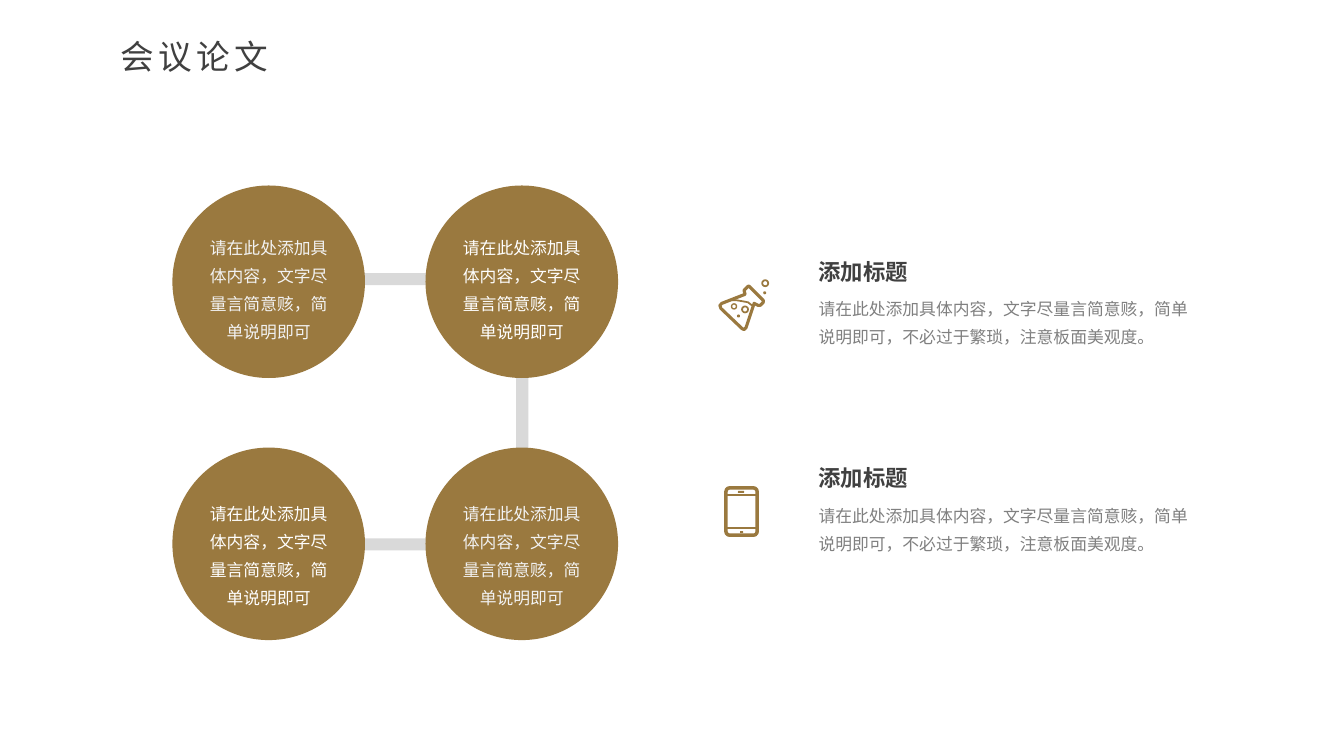
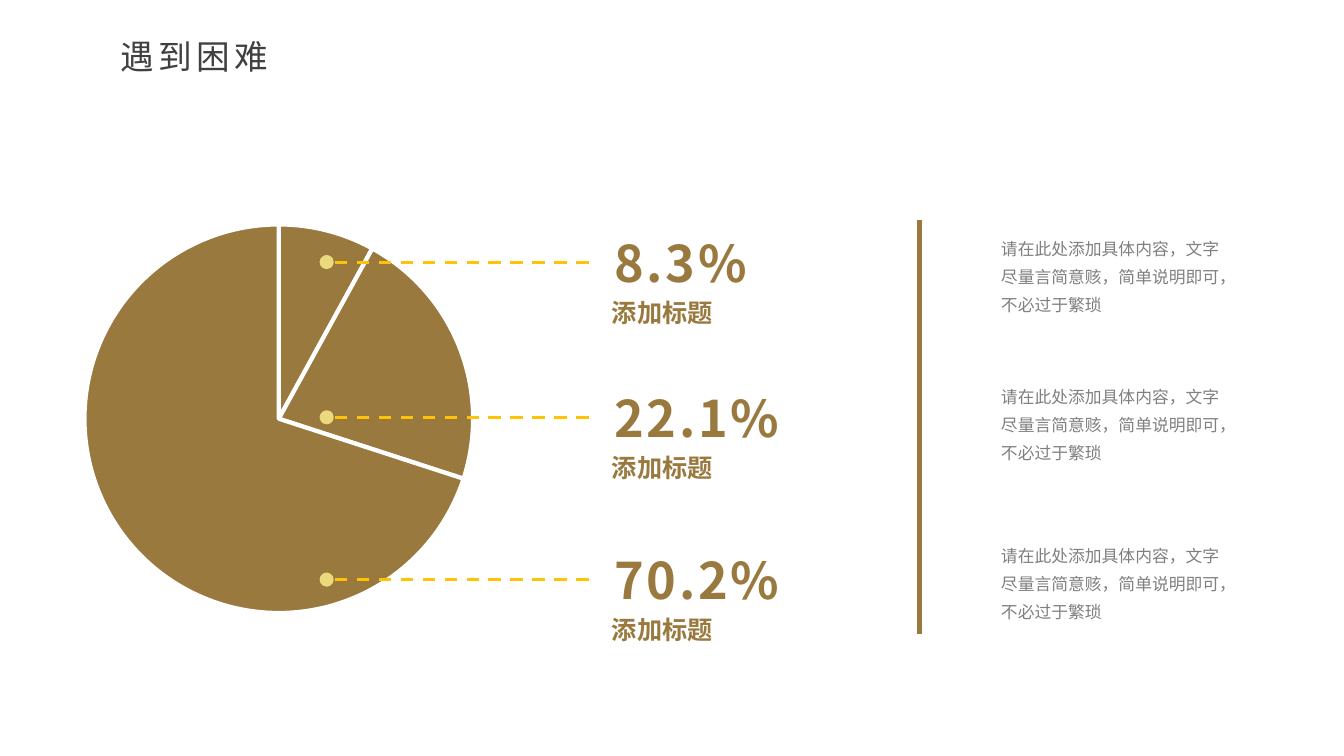
from dataclasses import dataclass
from itertools import product

from lxml import etree
from pptx import Presentation
from pptx.chart import data
from pptx.dml.color import RGBColor
from pptx.enum import chart as ch, dml, shapes, text
from pptx.oxml import ns
from pptx.util import Inches, Pt

KIND = shapes.MSO_SHAPE
ALIGN = text.PP_ALIGN


@dataclass(frozen=True)
class Theme:
    face: str = "Noto Sans CJK SC"
    gold: str = "9A793F"
    pale: str = "EBD97E"
    amber: str = "FEC306"
    rail: str = "D9D9D9"
    white: str = "FFFFFF"
    mist: str = "F2F2F2"
    gray: str = "808080"
    dark: str = "404040"
    body: int = 12
    head: int = 16
    label: int = 18
    title: int = 24
    value: int = 36
    lead: int = 20


@dataclass(frozen=True)
class Style:
    size: int
    color: str
    bold: bool = False
    space: int = 0
    lead: int | None = None
    align: ALIGN | None = None
    inset: float | None = None


@dataclass(frozen=True)
class Ring:
    x: float
    y: float
    size: float
    width: float


@dataclass(frozen=True)
class Share:
    value: str
    y: float
    note: float


T = Theme()
TITLE = Style(T.title, T.dark, space=300, align=ALIGN.JUSTIFY)
HEAD = Style(T.head, T.dark, bold=True)
BODY = Style(T.body, T.gray, lead=T.lead)
VALUE = Style(T.value, T.gold, bold=True, space=200, inset=0)
LABEL = Style(T.label, T.gold, bold=True, align=ALIGN.JUSTIFY)

BRIEF = "请在此处添加具体内容，文字尽量言简意赅，简单说明即可"
NOTE = BRIEF + "，不必过于繁琐"
FULL = NOTE + "，注意板面美观度。"
HEADING = "添加标题"

BARS = [(2.71, 2.71, 2.17, 0.12), (2.82, 5.34, 2.17, 0.12), (5.12, 3.18, 0.12, 2.17)]
COLS = (1.71, 4.22)
ROWS = ((1.84, 2.23), (4.44, 4.87))
ITEMS = (2.51, 4.56)
FLASK = [(7.42, 2.84), (7.43, 2.84), (7.57, 2.98), (7.57, 3.0), (7.54, 3.03),
         (7.52, 3.03), (7.48, 3.01), (7.4, 3.25), (7.38, 3.27), (7.36, 3.26),
         (7.15, 3.06), (7.14, 3.03), (7.16, 3.01), (7.39, 2.92), (7.38, 2.88)]
LIQUID = [(7.26, 2.98), (7.31, 2.98), (7.37, 2.99), (7.42, 3.0), (7.47, 3.04)]
RINGS = [Ring(7.39, 3.07, 0.06, 1.25), Ring(7.59, 2.81, 0.06, 1.25),
         Ring(7.28, 3.04, 0.05, 1)]
DOTS = [(7.31, 3.12), (7.57, 2.89)]
SHARES = [Share("8.3%", 2.6, 2.24), Share("22.1%", 4.14, 3.71),
          Share("70.2%", 5.75, 5.29)]


def assign(target, values: dict) -> None:
    for name, value in values.items():
        setattr(target, name, value)


def paint(shape, fill: str | None, line: str | None = None, width: float = 1) -> None:
    shape.shadow.inherit = False
    if fill:
        shape.fill.solid()
        shape.fill.fore_color.rgb = RGBColor.from_string(fill)
    else:
        shape.fill.background()
    if line:
        shape.line.color.rgb = RGBColor.from_string(line)
        shape.line.width = Pt(width)
    else:
        shape.line.fill.background()


def draw(slide, kind, box: tuple, fill: str | None, line: str | None = None,
         width: float = 1):
    shape = slide.shapes.add_shape(kind, *map(Inches, box))
    paint(shape, fill, line, width)
    return shape


def trace(slide, points: list, width: float, close: bool) -> None:
    spots = [(Inches(x), Inches(y)) for x, y in points]
    pen = slide.shapes.build_freeform(*spots[0], scale=1.0)
    pen.add_line_segments(spots[1:], close=close)
    paint(pen.convert_to_shape(), None, T.gold, width)


def rule(slide, start: tuple, end: tuple, color: str, width: float, dash=None) -> None:
    line = slide.shapes.add_connector(
        shapes.MSO_CONNECTOR.STRAIGHT, *map(Inches, start + end))
    line.line.color.rgb = RGBColor.from_string(color)
    assign(line.line, {"width": Pt(width), "dash_style": dash})
    etree.SubElement(line._element.spPr, ns.qn("a:effectLst"))


def write(slide, box: tuple, words: str, style: Style) -> None:
    frame = slide.shapes.add_textbox(*map(Inches, box)).text_frame
    assign(frame, {"word_wrap": True, "auto_size": text.MSO_AUTO_SIZE.SHAPE_TO_FIT_TEXT})
    if style.inset is not None:
        for side in ("left", "right", "top", "bottom"):
            setattr(frame, f"margin_{side}", Inches(style.inset))
    para = frame.paragraphs[0]
    assign(para, {"alignment": style.align,
                  "line_spacing": Pt(style.lead) if style.lead else None})
    run = para.add_run()
    run.text = words
    assign(run.font, {"size": Pt(style.size), "bold": style.bold, "name": T.face})
    run.font.color.rgb = RGBColor.from_string(style.color)
    props = run._r.get_or_add_rPr()
    etree.SubElement(props, ns.qn("a:ea"), typeface=T.face)
    if style.space:
        props.set("spc", str(style.space))


def start(deck, title: str):
    slide = deck.slides.add_slide(deck.slide_layouts[6])
    write(slide, (1.1, 0.31, 2.56, 0.5), title, TITLE)
    return slide


def flask(slide) -> None:
    trace(slide, FLASK, 2.25, True)
    trace(slide, LIQUID, 1.25, False)
    for ring in RINGS:
        half = ring.size / 2
        draw(slide, KIND.OVAL, (ring.x - half, ring.y - half, ring.size, ring.size),
             None, T.gold, ring.width)
    for x, y in DOTS:
        draw(slide, KIND.OVAL, (x, y, 0.03, 0.03), T.gold)


def phone(slide) -> None:
    frame = draw(slide, KIND.ROUNDED_RECTANGLE, (7.2, 4.84, 0.31, 0.47), None, T.gold, 2.5)
    frame.adjustments[0] = 0.12
    for y in (4.91, 5.24):
        rule(slide, (7.2, y), (7.51, y), T.gold, 1.25)
    for box in ((7.32, 4.87, 0.06, 0.02), (7.34, 5.27, 0.03, 0.02)):
        draw(slide, KIND.ROUNDED_RECTANGLE, box, T.gold)


def papers(deck) -> None:
    slide = start(deck, "会议论文")
    for bar in BARS:
        draw(slide, KIND.RECTANGLE, bar, T.rail)
    for (i, (top, words)), (j, left) in product(enumerate(ROWS), enumerate(COLS)):
        draw(slide, KIND.OVAL, (left, top, 1.91, 1.91), T.gold)
        color = T.mist if i == j else T.white
        write(slide, (left + 0.21, words, 1.49, 1.22), BRIEF,
              Style(T.body, color, lead=T.lead, align=ALIGN.CENTER))
    flask(slide)
    phone(slide)
    for top in ITEMS:
        write(slide, (8.02, top, 1.19, 0.37), HEADING, HEAD)
        write(slide, (8.02, top + 0.33, 3.97, 0.63), FULL, BODY)


def pie(slide) -> None:
    table = data.CategoryChartData()
    table.categories = ["1", "2", "3"]
    table.add_series("Series 1", (8, 22, 70))
    box = map(Inches, (0.67, 2.03, 4.19, 4.25))
    chart = slide.shapes.add_chart(ch.XL_CHART_TYPE.PIE, *box, table).chart
    assign(chart, {"has_title": False, "has_legend": False})
    assign(chart.font, {"size": Pt(10), "name": T.face})
    chart.font.color.rgb = RGBColor.from_string("000000")
    plot = chart.plots[0]
    plot.vary_by_categories = False
    for i in range(3):
        form = plot.series[0].points[i].format
        form.fill.solid()
        form.fill.fore_color.rgb = RGBColor.from_string(T.gold)
        form.line.color.rgb = RGBColor.from_string(T.white)
        form.line.width = Pt(3)
    area = chart._chartSpace.chart.plotArea
    for old in area.findall(ns.qn("c:layout")):
        area.remove(old)
    layout = etree.Element(ns.qn("c:layout"))
    manual = etree.SubElement(layout, ns.qn("c:manualLayout"))
    for name, value in {"layoutTarget": "inner", "xMode": "edge", "yMode": "edge",
                        "x": 0.04, "y": 0.04, "w": 0.92, "h": 0.92}.items():
        etree.SubElement(manual, ns.qn(f"c:{name}"), val=str(value))
    area.insert(0, layout)


def hurdles(deck) -> None:
    slide = start(deck, "遇到困难")
    pie(slide)
    rule(slide, (9.12, 2.18), (9.12, 6.29), T.gold, 3)
    for share in SHARES:
        y = share.y
        draw(slide, KIND.OVAL, (3.17, y - 0.07, 0.14, 0.14), T.pale)
        rule(slide, (5.84, y), (3.32, y), T.amber, 2.25, dml.MSO_LINE.DASH)
        write(slide, (6.09, y - 0.3, 2.52, 0.61), share.value, VALUE)
        write(slide, (5.97, y + 0.3, 1.76, 0.4), HEADING, LABEL)
        write(slide, (9.83, share.note, 2.47, 0.94), NOTE, BODY)


def main() -> None:
    deck = Presentation()
    assign(deck, {"slide_width": Inches(13.33), "slide_height": Inches(7.5)})
    papers(deck)
    hurdles(deck)
    deck.save("out.pptx")


if __name__ == "__main__":
    main()
